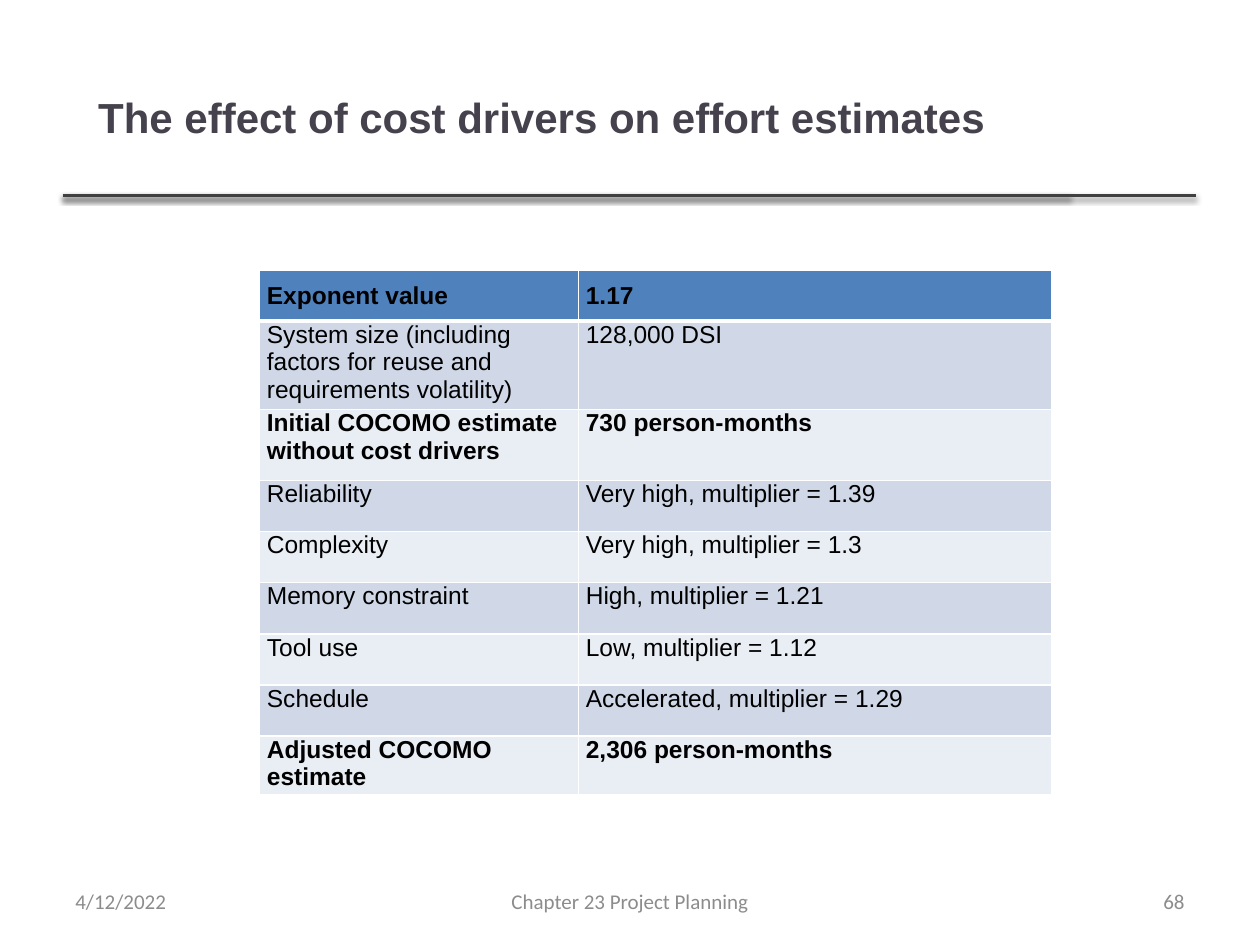
from lxml.etree import SubElement
from pptx import Presentation
from pptx.dml.color import RGBColor
from pptx.enum.shapes import MSO_CONNECTOR
from pptx.enum.text import MSO_ANCHOR as ANCHOR, PP_ALIGN as ALIGN
from pptx.oxml.ns import qn
from pptx.util import Cm, Pt

BLACK = RGBColor(0x00, 0x00, 0x00)
WHITE = RGBColor(0xFF, 0xFF, 0xFF)
TITLE_COLOR = RGBColor(0x46, 0x42, 0x4D)
RULE_COLOR = RGBColor(0x40, 0x40, 0x40)
FOOTER_COLOR = RGBColor(0x8C, 0x8C, 0x8C)
HEADER_FILL = RGBColor(0x4F, 0x81, 0xBD)
BAND_FILLS = (RGBColor(0xE9, 0xED, 0xF4), RGBColor(0xD0, 0xD8, 0xE8))

COST_DRIVERS = [
    ("Exponent value", "1.17"),
    ("System size (including factors for reuse and requirements volatility)", "128,000 DSI"),
    ("Initial COCOMO estimate without cost drivers", "730 person-months"),
    ("Reliability", "Very high, multiplier = 1.39"),
    ("Complexity", "Very high, multiplier = 1.3"),
    ("Memory constraint", "High, multiplier = 1.21"),
    ("Tool use", "Low, multiplier = 1.12"),
    ("Schedule", "Accelerated, multiplier = 1.29"),
    ("Adjusted COCOMO estimate", "2,306 person-months"),
]
BOLD_ROWS = (0, 2, 8)
TOP_INSETS = {0: 0.25}
BOTTOM_INSETS = {2: 0.25}

FOOTERS = [
    ("4/12/2022", 1.27, 5.93, ALIGN.LEFT),
    ("Chapter 23 Project Planning", 8.68, 8.04, ALIGN.CENTER),
    ("68", 18.2, 5.93, ALIGN.RIGHT),
]


def write_text(tf, text, size=14, font="Arial", color=BLACK, bold=False,
               align=ALIGN.LEFT, space_after=0):
    p = tf.paragraphs[0]
    p.alignment = align
    p.space_after = Pt(space_after)
    r = p.add_run()
    r.text = text
    r.font.size = Pt(size)
    r.font.name = font
    r.font.bold = bold
    r.font.color.rgb = color


def add_text(s, text, left, top, width, height, **fmt):
    tf = s.shapes.add_textbox(Cm(left), Cm(top), Cm(width), Cm(height)).text_frame
    tf.word_wrap = True
    tf.vertical_anchor = ANCHOR.MIDDLE
    write_text(tf, text, **fmt)


def add_rule(s, left, right, y):
    line = s.shapes.add_connector(MSO_CONNECTOR.STRAIGHT, Cm(left), Cm(y), Cm(right), Cm(y))
    line.line.color.rgb = RULE_COLOR
    line.line.width = Pt(2)
    effects = SubElement(line._element.spPr, qn("a:effectLst"))
    shadow = SubElement(effects, qn("a:outerShdw"), blurRad=str(Pt(3.1)),
                        dist=str(Pt(1.6)), dir="5400000", rotWithShape="0")
    color = SubElement(shadow, qn("a:srgbClr"), val=str(BLACK))
    SubElement(color, qn("a:alpha"), val="38000")


def set_borders(cell, **widths):
    tcPr = cell._tc.get_or_add_tcPr()
    for side in "LRTB":
        ln = SubElement(tcPr, qn(f"a:ln{side}"), w=str(Pt(widths.get(side, 1))))
        SubElement(SubElement(ln, qn("a:solidFill")), qn("a:srgbClr"), val=str(WHITE))


def fill_cell(cell, text, row, col):
    border = {0: {"B": 3}, 1: {"T": 3}}.get(row, {})
    set_borders(cell, **border)
    cell.fill.solid()
    cell.fill.fore_color.rgb = BAND_FILLS[row % 2] if row else HEADER_FILL
    cell.margin_left = cell.margin_right = Cm(0.15)
    cell.margin_top = Cm(TOP_INSETS.get(row, 0))
    cell.margin_bottom = Cm(BOTTOM_INSETS.get(row, 0))
    write_text(cell.text_frame, text, bold=row in BOLD_ROWS, space_after=3,
               align=ALIGN.JUSTIFY if col else ALIGN.LEFT)


def add_driver_table(s, left, top, col_widths, row_height):
    rows = len(COST_DRIVERS)
    table = s.shapes.add_table(rows, len(col_widths), Cm(left), Cm(top),
                               Cm(sum(col_widths)), Cm(row_height * rows)).table
    for column, width in zip(table.columns, col_widths):
        column.width = Cm(width)
    for row, texts in enumerate(COST_DRIVERS):
        table.rows[row].height = Cm(row_height)
        for col, text in enumerate(texts):
            fill_cell(table.cell(row, col), text, row, col)


def main():
    prs = Presentation()
    prs.slide_width, prs.slide_height = Cm(25.4), Cm(19.05)
    s = prs.slides.add_slide(prs.slide_layouts[6])
    for right in (21.56, 24.1):
        add_rule(s, 1.27, right, 3.94)
    add_text(s, "The effect of cost drivers on effort estimates", 1.73, 0.86, 19.48, 3.0,
             size=24, color=TITLE_COLOR, bold=True)
    add_driver_table(s, 5.23, 5.44, (6.43, 9.55), 1.03)
    for text, left, width, align in FOOTERS:
        add_text(s, text, left, 17.65, width, 1.02, size=12, font="Calibri",
                 color=FOOTER_COLOR, align=align)
    prs.save("out.pptx")


if __name__ == "__main__":
    main()
